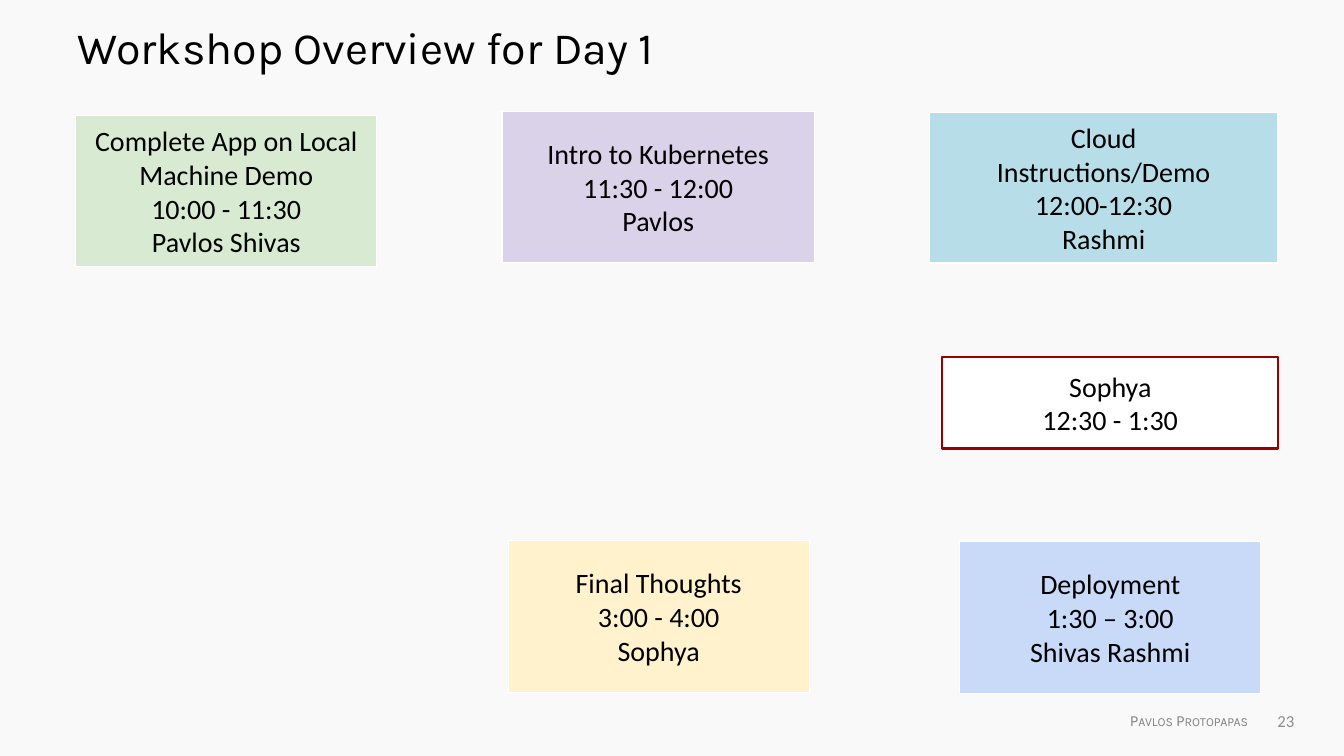
from pptx import Presentation
from pptx.dml.color import RGBColor
from pptx.enum import shapes, text
from pptx.util import Pt

COLORS = {
    "background": "F9F9F9", "ink": "000000", "footer": "808080",
    "number": "8C8C8C", "white": "FFFFFF", "crimson": "990000",
    "green": "D9EAD3", "purple": "D9D2E9", "teal": "B7DEE8",
    "yellow": "FFF2CC", "blue": "C9DAF8",
}

SESSIONS = [
    ((54, 82.8, 215.3, 107.3), "green",
     ["Complete App on Local Machine Demo", "10:00 - 11:30", "Pavlos Shivas"]),
    ((358.6, 79.9, 223.2, 107.3), "purple",
     ["Intro to Kubernetes", "11:30 - 12:00", "Pavlos"]),
    ((663.8, 80.6, 249.1, 107.3), "teal",
     ["Cloud", "Instructions/Demo", "12:00-12:30", "Rashmi"]),
    ((673.2, 254.9, 239.8, 65.5), "white", ["Sophya", "12:30 - 1:30"]),
    ((685.4, 386.6, 215.3, 108.7), "blue",
     ["Deployment", "1:30 – 3:00", "Shivas Rashmi"]),
    ((362.9, 385.9, 215.3, 108.7), "yellow",
     ["Final Thoughts", "3:00 - 4:00", "Sophya"]),
]


def color(name):
    return RGBColor.from_string(COLORS[name])


def write(frame, lines, size=20, face="Calibri", ink="ink",
          align=text.PP_ALIGN.LEFT, anchor=text.MSO_ANCHOR.TOP,
          wrap=True, small_caps=False):
    frame.word_wrap = wrap
    frame.auto_size = text.MSO_AUTO_SIZE.NONE
    frame.vertical_anchor = anchor
    for index, line in enumerate(lines):
        paragraph = frame.add_paragraph() if index else frame.paragraphs[0]
        paragraph.alignment = align
        run = paragraph.add_run()
        run.text = line
        run.font.size = Pt(size)
        run.font.name = face
        run.font.color.rgb = color(ink)
        if small_caps:
            run.font._element.set("cap", "small")


def add_title(slide, heading):
    title = slide.shapes.title
    title.left, title.top, title.width, title.height = map(
        Pt, (48.2, 10.8, 864, 60.5))
    write(title.text_frame, [heading], size=32, face="Karla")


def add_session(slide, place, fill, lines, border="white", weight=0.75):
    session = slide.shapes.add_shape(
        shapes.MSO_SHAPE.RECTANGLE, *map(Pt, place))
    session.shadow.inherit = False
    session.fill.solid()
    session.fill.fore_color.rgb = color(fill)
    session.line.color.rgb = color(border)
    session.line.width = Pt(weight)
    frame = session.text_frame
    frame.margin_left = frame.margin_right = Pt(7.2)
    frame.margin_top = frame.margin_bottom = Pt(7.2)
    write(frame, lines, align=text.PP_ALIGN.CENTER,
          anchor=text.MSO_ANCHOR.MIDDLE)


def add_label(slide, place, label, **style):
    box = slide.shapes.add_textbox(*map(Pt, place))
    write(box.text_frame, [label], **style)


def main():
    deck = Presentation()
    deck.slide_width, deck.slide_height = Pt(960), Pt(540)
    slide = deck.slides.add_slide(deck.slide_layouts[5])
    slide.background.fill.solid()
    slide.background.fill.fore_color.rgb = color("background")

    add_title(slide, "Workshop Overview for Day 1")
    for place, fill, lines in SESSIONS:
        outline = {"border": "crimson", "weight": 1.5} if fill == "white" else {}
        add_session(slide, place, fill, lines, **outline)
    add_label(slide, (800, 504.7, 101.5, 20.9), "Pavlos Protopapas", size=11,
              face="Karla", ink="footer", wrap=False, small_caps=True)
    add_label(slide, (707.8, 500.4, 223.9, 28.8), "23", size=12, ink="number",
              align=text.PP_ALIGN.RIGHT, anchor=text.MSO_ANCHOR.MIDDLE)
    deck.save("out.pptx")


if __name__ == "__main__":
    main()
